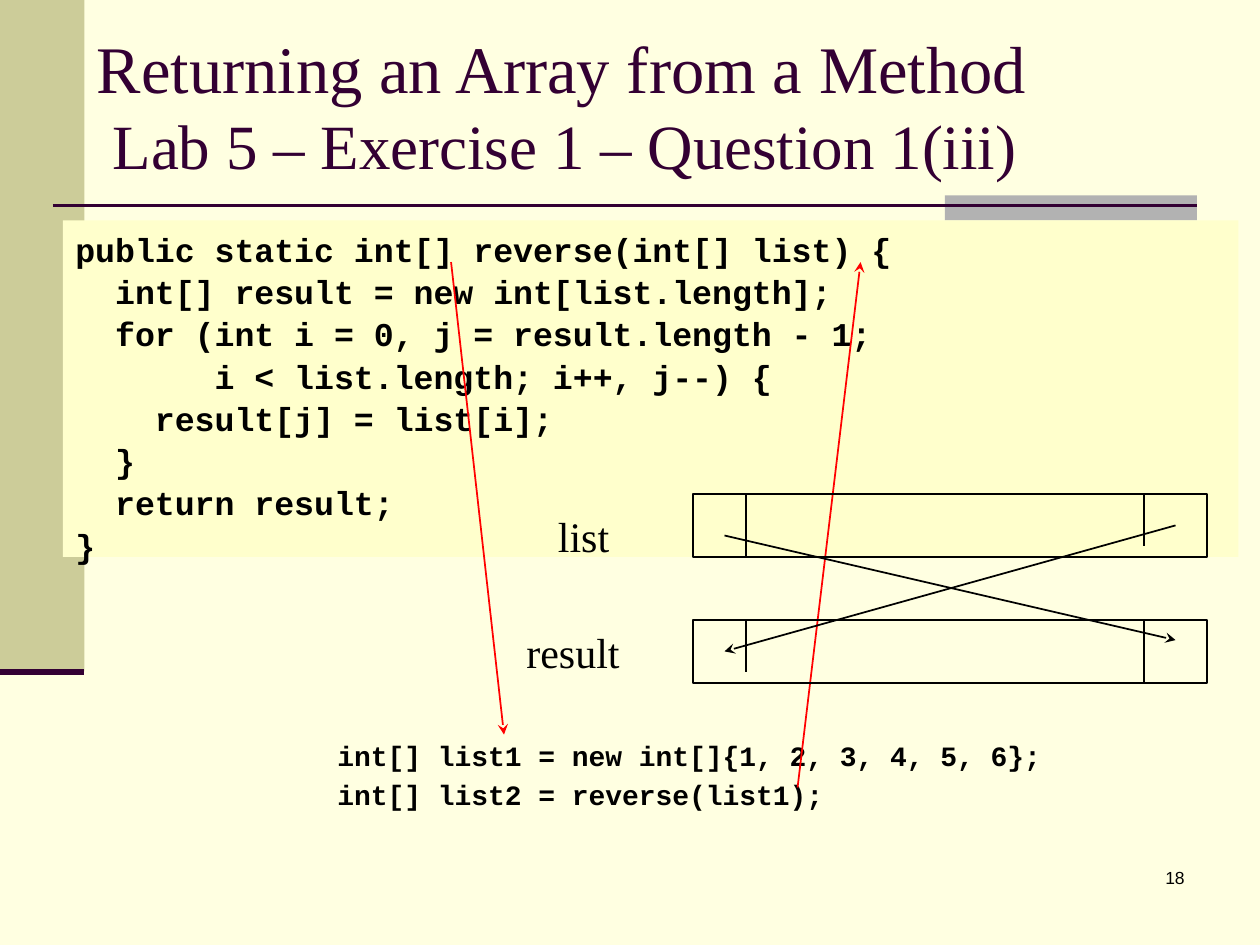
from dataclasses import dataclass

from lxml.etree import SubElement
from pptx import Presentation
from pptx.dml.color import RGBColor
from pptx.enum.shapes import MSO_CONNECTOR, MSO_SHAPE
from pptx.enum.text import MSO_ANCHOR, PP_ALIGN
from pptx.oxml.ns import qn
from pptx.util import Inches, Pt


@dataclass(frozen=True)
class Theme:
    background: str = "FFFFE1"
    sidebar: str = "CCCC99"
    accent: str = "B2B2B2"
    title: str = "330033"
    panel: str = "FFFFCC"
    ink: str = "000000"
    call: str = "FF0000"
    serif: str = "Times New Roman"
    sans: str = "Arial"
    mono: str = "Courier New"
    title_size: float = 38
    subtitle_size: float = 36
    label_size: float = 24
    code_size: float = 19
    usage_size: float = 16
    number_size: float = 10


THEME = Theme()

METHOD = """public static int[] reverse(int[] list) {
  int[] result = new int[list.length];
  for (int i = 0, j = result.length - 1;
       i < list.length; i++, j--) {
    result[j] = list[i];
  }
  return result;
}"""

USAGE = """int[] list1 = new int[]{1, 2, 3, 4, 5, 6};
int[] list2 = reverse(list1);"""


def rgb(color):
    return RGBColor.from_string(color)


def add_rect(s, box, fill=None, line=None):
    sp = s.shapes.add_shape(MSO_SHAPE.RECTANGLE, *map(Inches, box))
    sp.shadow.inherit = False
    if fill:
        sp.fill.solid()
        sp.fill.fore_color.rgb = rgb(fill)
    else:
        sp.fill.background()
    if line:
        sp.line.color.rgb = rgb(line)
        sp.line.width = Pt(1)
    else:
        sp.line.fill.background()
    return sp


def add_line(s, start, end, color=THEME.ink, width=1, arrow=False):
    line = s.shapes.add_connector(
        MSO_CONNECTOR.STRAIGHT, *map(Inches, (*start, *end)))
    line.line.color.rgb = rgb(color)
    line.line.width = Pt(width)
    if arrow:
        SubElement(line.line._get_or_add_ln(), qn("a:tailEnd"), type="stealth")
    SubElement(line._element.spPr, qn("a:effectLst"))


def set_font(font, name, size, color, bold=False):
    font.name = name
    font.size = Pt(size)
    font.color.rgb = rgb(color)
    font.bold = bold


def add_text(s, box, text, name, size, align=PP_ALIGN.LEFT):
    tf = s.shapes.add_textbox(*map(Inches, box)).text_frame
    tf.word_wrap = True
    p = tf.paragraphs[0]
    p.text = text
    p.alignment = align
    set_font(p.font, name, size, THEME.ink)


def write_code(tf, code, size, spacing, gap=0):
    tf.word_wrap = True
    tf.vertical_anchor = MSO_ANCHOR.TOP
    for i, row in enumerate(code.split("\n")):
        p = tf.add_paragraph() if i else tf.paragraphs[0]
        p.text = row
        p.alignment = PP_ALIGN.LEFT
        p.line_spacing = spacing
        if i:
            p.space_before = Pt(gap)
        set_font(p.font, THEME.mono, size, THEME.ink, bold=True)


def add_title(s, title, subtitle):
    tf = s.shapes.add_textbox(*map(Inches, (0.67, 0.33, 8.58, 1))).text_frame
    tf.word_wrap = True
    tf.vertical_anchor = MSO_ANCHOR.MIDDLE
    p = tf.paragraphs[0]
    for text, size in ((title, THEME.title_size), (subtitle, THEME.subtitle_size)):
        if p.runs:
            p.add_line_break()
        r = p.add_run()
        r.text = text
        set_font(r.font, THEME.serif, size, THEME.title)


def add_frame(s):
    add_rect(s, (0, 0, 0.67, 5.33), fill=THEME.sidebar)
    add_rect(s, (7.5, 1.55, 2, 0.2), fill=THEME.accent)
    add_line(s, (0.42, 1.63), (9.5, 1.63), THEME.title, 1.5)
    add_line(s, (0, 5.33), (0.67, 5.33), THEME.title, 3.5)
    add_text(s, (7.42, 6.83, 2.08, 0.5), "18", THEME.sans,
             THEME.number_size, PP_ALIGN.RIGHT)


def add_array(s, top, first_height, last_height):
    add_rect(s, (5.5, top, 4.08, 0.5), line=THEME.ink)
    for x, height in ((5.92, first_height), (9.08, last_height)):
        add_line(s, (x, top), (x, top + height))


def main():
    prs = Presentation()
    prs.slide_width, prs.slide_height = Inches(10), Inches(7.5)
    s = prs.slides.add_slide(prs.slide_layouts[6])
    s.background.fill.solid()
    s.background.fill.fore_color.rgb = rgb(THEME.background)

    add_frame(s)
    add_title(s, "Returning an Array from a Method",
              " Lab 5 – Exercise 1 – Question 1(iii)")

    panel = add_rect(s, (0.5, 1.75, 9.33, 2.67), fill=THEME.panel)
    write_code(panel.text_frame, METHOD, THEME.code_size, 1.06)
    usage = s.shapes.add_textbox(*map(Inches, (2.58, 5.83, 7.33, 0.75)))
    write_code(usage.text_frame, USAGE, THEME.usage_size, 0.95, gap=4)

    add_line(s, (6.33, 6.25), (6.83, 2.08), THEME.call, arrow=True)
    add_line(s, (3.58, 2.08), (4, 5.83), THEME.call, arrow=True)

    add_array(s, 3.92, 0.5, 0.41)
    add_array(s, 4.92, 0.41, 0.5)
    add_text(s, (4.33, 4, 0.83, 0.5), "list", THEME.serif, THEME.label_size)
    add_text(s, (4.08, 4.92, 1.17, 0.5), "result", THEME.serif, THEME.label_size)
    add_line(s, (5.75, 4.25), (9.33, 5.08), arrow=True)
    add_line(s, (9.33, 4.17), (5.75, 5.17), arrow=True)

    prs.save("out.pptx")


if __name__ == "__main__":
    main()
